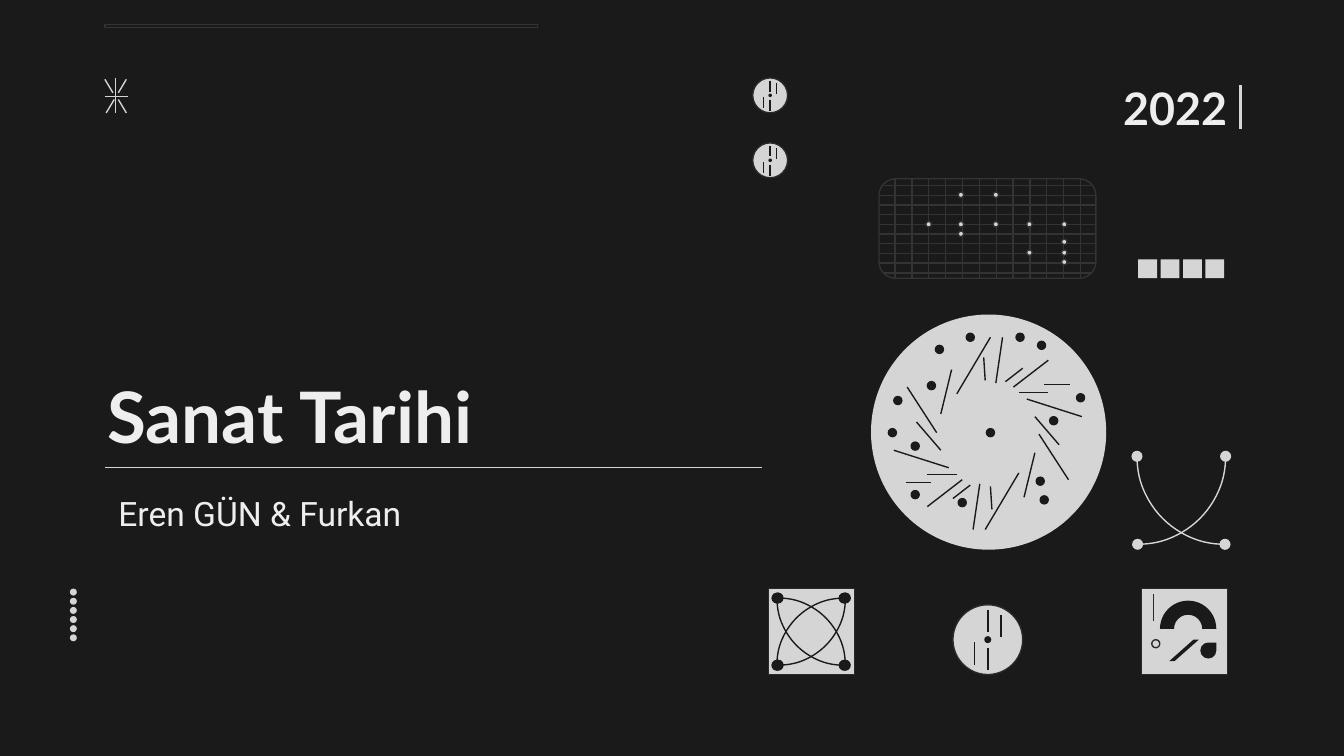
from lxml.etree import SubElement
from pptx import Presentation
from pptx.dml.color import RGBColor
from pptx.enum.shapes import MSO_CONNECTOR, MSO_SHAPE
from pptx.enum.text import MSO_ANCHOR, MSO_AUTO_SIZE, PP_ALIGN
from pptx.oxml.ns import qn
from pptx.util import Pt

HUES = {"ink": "1A1A1B", "light": "D5D5D5", "text": "EEEEEE",
        "grid": "333333", "edge": "2A2A2A"}

# Content: text, box, font, size, bold, align, anchor, line spacing
TITLE = ("Sanat Tarihi", (50.4, 127.4, 396, 198.7), "Lato", 38, True,
         PP_ALIGN.LEFT, MSO_ANCHOR.MIDDLE, 0.8)
NAMES = ("Eren GÜN & Furkan", (56.2, 257, 356.4, 37.4), "Roboto", 18, False,
         PP_ALIGN.LEFT, MSO_ANCHOR.TOP, 1)
YEAR = ("2022", (490.3, 41.8, 174.2, 37.4), "Lato", 24, True,
        PP_ALIGN.RIGHT, MSO_ANCHOR.MIDDLE, 0.8)

# Wheel: half of its spokes, from the hub; the other half is a half turn
HUB = (529.2, 232.2)
SPOKES = [
    (1.4, -51.5, -16.6, -21.2), (-19.4, -34.2, -25.2, -10.4),
    (-43.2, -24.8, -27.4, -0.4), (-38.2, -6.1, -25.2, 9),
    (-50.4, 9, -20.9, 18.4), (-32.4, 22, -16.6, 22),
    (-13.7, 24.8, -32.4, 39.2), (-43.9, 26.3, -30.2, 26.3),
    (-9.4, 27.7, -18.7, 34.9), (-4.3, 27, -7.9, 51.5),
    (1.4, 28.4, 2.2, 40.7),
]
HOLES = [
    (530.6, 231.8), (499, 206.6), (481, 214.6), (490.3, 239), (478.1, 231.8),
    (490.3, 265), (515.5, 269.3), (557.3, 257.8), (564.5, 225.4),
    (559.4, 267.8), (578.9, 213.1), (558, 185), (519.8, 180.7),
    (546.5, 180.7), (503.3, 187.2),
]

# Grid panel: box, then lamps as column x with their rows y
PANEL = (470.9, 95.8, 116.2, 53.3)
LAMPS = {497.5: [120.2], 514.8: [104.4, 120.2, 125.3],
         533.5: [104.4, 120.2], 551.5: [120.2, 135.4],
         570.2: [120.2, 129.6, 135.4, 140.4]}

# Dials: centre and width; hands as shares of the width
DIALS = [(529.2, 342.7, 37.4), (412.6, 51.1, 18.7), (412.6, 85.9, 18.7)]
HANDS = [(0.19, -0.35, -0.04), (-0.19, 0.04, 0.36),
         (0, -0.42, -0.11), (0, 0.12, 0.44)]

STAR = [
    (61.9, 41.8, 61.9, 60.5), (56.2, 42.5, 60.5, 49.7),
    (63.4, 53.3, 67.7, 60.5), (67.7, 42.5, 63.4, 49.7),
    (61.2, 53.3, 56.9, 60.5), (56.2, 51.8, 68.4, 51.8),
]

# Arcs: left, top, width, turn
CROSS = [(562.3, 197.3, 94.3, 90), (609.1, 197.3, 94.3, 180)]
KNOT = [(416.2, 320.4, 72, 270), (380.9, 320.4, 72, 0),
        (380.9, 284.4, 72, 90), (416.2, 284.4, 72, 180)]

deck = Presentation()
deck.slide_width, deck.slide_height = Pt(720), Pt(405)
slide = deck.slides.add_slide(deck.slide_layouts[0])


def hue(key):
    return RGBColor.from_string(HUES[key])


def paint(fill, key):
    if key:
        fill.solid()
        fill.fore_color.rgb = hue(key)
    else:
        fill.background()


def draw(kind, box, fill=None, edge=None, adj=(), turn=0):
    shape = slide.shapes.add_shape(kind, *map(Pt, box))
    shape.shadow.inherit = False
    shape.rotation = turn
    paint(shape.fill, fill)
    paint(shape.line.fill, edge)
    if edge:
        shape.line.width = Pt(0.75)
    for i, value in enumerate(adj):
        shape.adjustments[i] = value
    return shape


def dot(x, y, size, fill, edge=None):
    draw(MSO_SHAPE.OVAL, (x - size / 2, y - size / 2, size, size), fill, edge)


def rule(x1, y1, x2, y2, key, width=0.75):
    line = slide.shapes.add_connector(
        MSO_CONNECTOR.STRAIGHT, *map(Pt, (x1, y1, x2, y2)))
    line.line.color.rgb = hue(key)
    line.line.width = Pt(width)
    SubElement(line._element.spPr, qn("a:effectLst"))


def bow(x, y, size, turn, key):
    arc = draw(MSO_SHAPE.ARC, (x, y, size, size), None, key, (162, 0), turn)
    ln = arc._element.spPr.find(qn("a:ln"))
    for end in ("a:headEnd", "a:tailEnd"):
        SubElement(ln, qn(end), type="oval")


def write(shape, item):
    text, box, font, size, bold, align, anchor, space = item
    shape.left, shape.top, shape.width, shape.height = map(Pt, box)
    frame = shape.text_frame
    frame.text = text
    frame.word_wrap = True
    frame.auto_size = MSO_AUTO_SIZE.NONE
    frame.vertical_anchor = anchor
    frame.margin_left = frame.margin_right = Pt(7.2)
    frame.margin_top = frame.margin_bottom = Pt(7.2)
    para = frame.paragraphs[0]
    para.alignment, para.line_spacing = align, space
    para.space_before = Pt(0)
    para.font.name, para.font.size, para.font.bold = font, Pt(size), bold
    para.font.color.rgb = hue("text")


# Background and text
paint(slide.background.fill, "ink")
write(slide.shapes.title, TITLE)
write(slide.placeholders[1], NAMES)
write(slide.shapes.add_textbox(0, 0, 0, 0), YEAR)

# Rules and bar
rule(408.2, 250.6, 56.2, 250.6, "light")
rule(664.6, 69.1, 664.6, 45.4, "light", 1.5)
draw(MSO_SHAPE.RECTANGLE, (56.2, 13, 231.8, 1.7), None, "grid")

# Row of squares and column of dots
for i in range(4):
    draw(MSO_SHAPE.RECTANGLE, (609.8 + 12 * i, 139, 10.1, 10.1), "light")
for i in range(6):
    dot(39.3, 317.2 + 4.9 * i, 3.7, "light")

# Wheel
draw(MSO_SHAPE.OVAL, (466.6, 168.5, 126, 126), "light")
for x1, y1, x2, y2 in SPOKES:
    for way in (1, -1):
        rule(HUB[0] + way * x1, HUB[1] + way * y1,
             HUB[0] + way * x2, HUB[1] + way * y2, "ink")
for x, y in HOLES:
    dot(x, y, 4.3, "ink", "ink")

# Grid panel
left, top, wide, high = PANEL
draw(MSO_SHAPE.ROUNDED_RECTANGLE, PANEL, None, "grid", [0.167])
for i in range(10):
    y = 99.4 + 5.2 * i
    gap = 2.5 if i in (0, 9) else 0
    rule(left + gap, y, left + wide - gap, y, "grid")
for i in range(12):
    x = 479.5 + 9.03 * i
    rule(x, top, x, top + high, "grid")
for x, rows in LAMPS.items():
    for y in rows:
        dot(x, y, 2.9, "light", "grid")

# Star
for ray in STAR:
    rule(*ray, "light")

# Dials
for x, y, size in DIALS:
    dot(x, y, size, "light", "edge")
    for dx, y1, y2 in HANDS:
        rule(x + dx * size, y + y1 * size, x + dx * size, y + y2 * size, "ink")
    dot(x, y, 0.1 * size, "ink")

# Crossed arcs and knot tile
for arc in CROSS:
    bow(*arc, "light")
draw(MSO_SHAPE.RECTANGLE, (411.8, 315.4, 46.1, 46.1), "light", "edge")
for arc in KNOT:
    bow(*arc, "ink")

# Emblem tile
draw(MSO_SHAPE.RECTANGLE, (611.6, 315.4, 46.1, 46.1), "light", "edge")
draw(MSO_SHAPE.BLOCK_ARC, (621.4, 321.8, 30.2, 30.2), "ink", None, (108, 0, 0.25))
draw(MSO_SHAPE.TEAR, (643, 344.2, 8.6, 8.6), "ink", None, [1])
draw(MSO_SHAPE.PARALLELOGRAM, (626.4, 342.7, 15.8, 11.5), "ink", None, [1.127])
dot(619.2, 344.9, 4.3, "light", "edge")
rule(617.8, 318.2, 617.8, 332.6, "edge")

deck.save("out.pptx")
